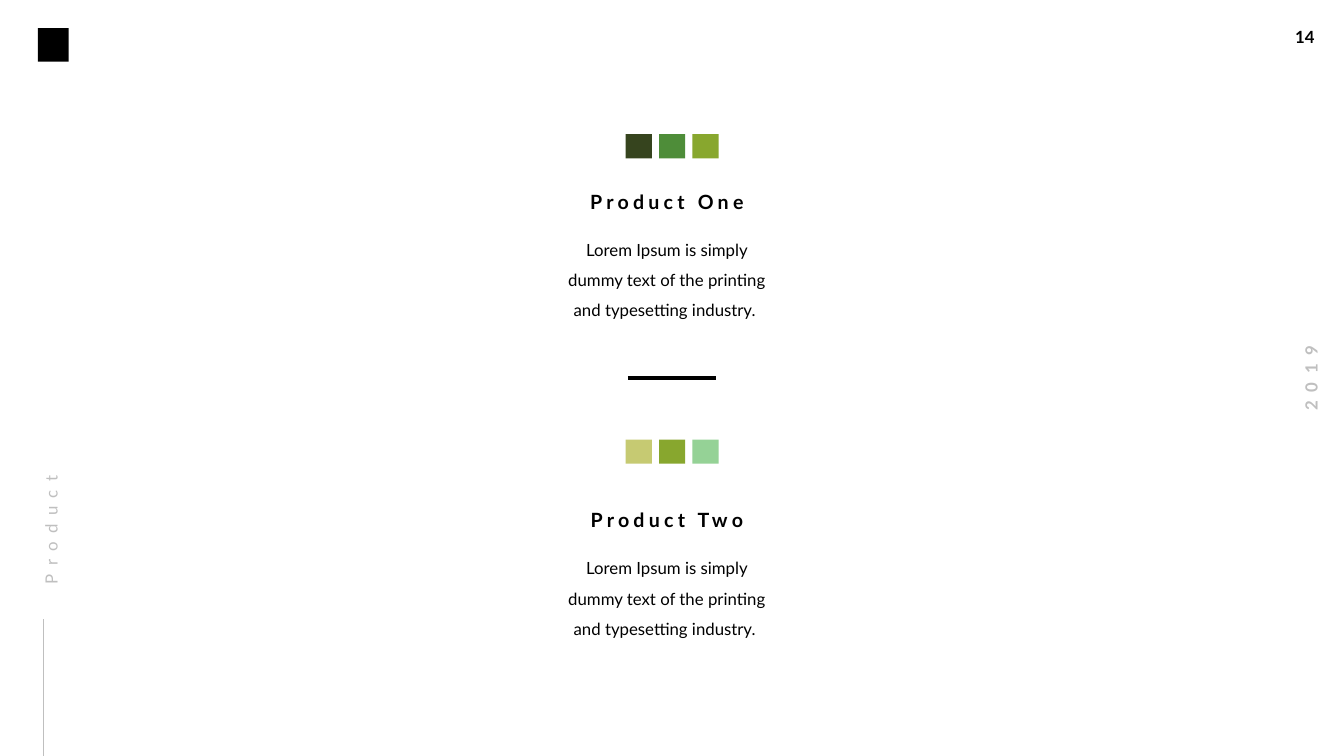
from pptx import Presentation
from pptx.dml.color import RGBColor
from pptx.enum.shapes import MSO_CONNECTOR as CONN, MSO_SHAPE as SHAPE
from pptx.enum.text import MSO_ANCHOR as ANCHOR, MSO_AUTO_SIZE as AUTO, PP_ALIGN as ALIGN
from pptx.oxml.ns import qn
from pptx.util import Pt
from lxml.etree import SubElement

BLACK = RGBColor(0x00, 0x00, 0x00)
GREY = RGBColor(0xBF, 0xBF, 0xBF)
FOREST = RGBColor(0x36, 0x44, 0x1E)
GREEN = RGBColor(0x4E, 0x8D, 0x39)
OLIVE = RGBColor(0x88, 0xA7, 0x2E)
SAND = RGBColor(0xC6, 0xCA, 0x72)
MINT = RGBColor(0x95, 0xD2, 0x96)

FONT = "Lato"
BLURB = "Lorem Ipsum is simply dummy text of the printing and typesetting industry. "
PRODUCTS = [
    ("Product One", 95.8, 135.4, (FOREST, GREEN, OLIVE)),
    ("Product Two", 314, 363, (SAND, OLIVE, MINT)),
]
SWATCH_LEFT, SWATCH_STEP, SWATCH_W, SWATCH_H = 447, 23.8, 18.7, 17.3
BLURB_DROP = 28.4
SIDE_INSETS = (0, 0, 7.2, 0)
BOX_INSETS = (7.2, 3.6, 7.2, 3.6)

prs = Presentation()
prs.slide_width, prs.slide_height = Pt(960), Pt(540)
s = prs.slides.add_slide(prs.slide_layouts[5])


def add_text(text, x, y, w, h, sp=None, size=12, color=BLACK, bold=False, spacing=0,
             align=ALIGN.LEFT, line=1.0, insets=SIDE_INSETS, wrap=True, rotation=0):
    sp = sp or s.shapes.add_textbox(0, 0, 0, 0)
    sp.left, sp.top, sp.width, sp.height = Pt(x), Pt(y), Pt(w), Pt(h)
    sp.rotation = rotation
    tf = sp.text_frame
    tf.word_wrap = wrap
    tf.auto_size = AUTO.NONE
    tf.vertical_anchor = ANCHOR.TOP
    tf.margin_left, tf.margin_top, tf.margin_right, tf.margin_bottom = map(Pt, insets)
    p = tf.paragraphs[0]
    p.alignment, p.line_spacing, p.space_before = align, line, Pt(0)
    r = p.add_run()
    r.text = text
    r.font.name, r.font.size, r.font.bold = FONT, Pt(size), bold
    r.font.color.rgb = color
    if spacing:
        r.font._element.set("spc", str(spacing * 100))


def add_rect(x, y, w, h, color):
    sp = s.shapes.add_shape(SHAPE.RECTANGLE, Pt(x), Pt(y), Pt(w), Pt(h))
    sp.shadow.inherit = False
    sp.fill.solid()
    sp.fill.fore_color.rgb = color
    sp.line.fill.background()


def add_line(x1, y1, x2, y2, color, width):
    cx = s.shapes.add_connector(CONN.STRAIGHT, Pt(x1), Pt(y1), Pt(x2), Pt(y2))
    cx.line.color.rgb = color
    cx.line.width = Pt(width)
    SubElement(cx._element.spPr, qn("a:effectLst"))


add_text("Product", -35.3, 341.3, 133.2, 18.7, sp=s.shapes.title, color=GREY,
         spacing=6, line=1.5, rotation=270)
add_line(31, 540, 31, 442, GREY, 0.5)
add_rect(27, 20, 22, 24, BLACK)
add_text("14", 918, 15.8, 29.5, 21.6, bold=True, insets=BOX_INSETS, wrap=False)
add_text("2019", 902.9, 259.2, 67, 21.6, color=GREY, bold=True, spacing=6,
         align=ALIGN.CENTER, insets=BOX_INSETS, wrap=False, rotation=270)

for name, swatch_top, name_top, colors in PRODUCTS:
    for i, color in enumerate(colors):
        add_rect(SWATCH_LEFT + i * SWATCH_STEP, swatch_top, SWATCH_W, SWATCH_H, color)
    add_text(name, 395.3, name_top, 169.2, 17.3, size=14, bold=True, spacing=3,
             align=ALIGN.CENTER)
    add_text(BLURB, 401.8, name_top + BLURB_DROP, 156.2, 62.6, align=ALIGN.CENTER, line=1.5)

add_line(448.5, 270, 511.5, 270, BLACK, 2.25)

prs.save("out.pptx")
